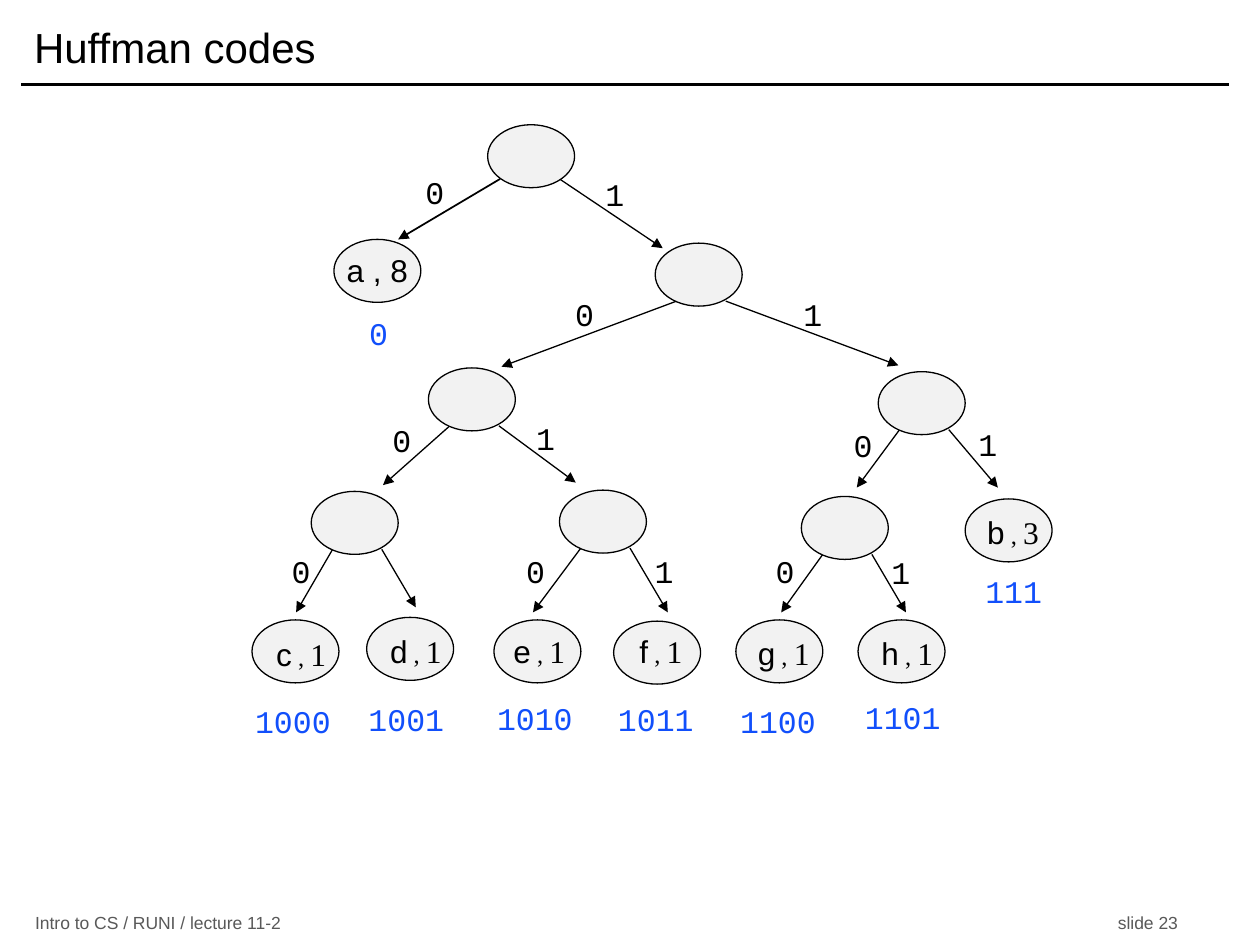
from dataclasses import dataclass
from typing import Optional

import pptx
import pptx.dml.color
import pptx.enum.shapes
import pptx.enum.text
import pptx.util
from lxml import etree
from pptx.oxml.ns import qn
from pptx.util import Inches

COLORS = {"ink": "000000", "node": "F2F2F2", "code": "114FFB", "footer": "595959"}
NODE_WIDTH, NODE_HEIGHT = 0.69, 0.5
BIT_WIDTH, CODE_WIDTH, LABEL_HEIGHT = 0.32, 0.73, 0.41
LEFT, CENTER = pptx.enum.text.PP_ALIGN.LEFT, pptx.enum.text.PP_ALIGN.CENTER

Point = tuple[float, float]
Box = tuple[float, float, float, float]


@dataclass
class Run:
    text: str
    size: float = 18
    font: str = "Arial"
    color: str = "ink"


@dataclass
class Branch:
    """An inner node, with its arrow tips and the places of its bit labels."""
    node: Point
    zero_tip: Point
    one_tip: Point
    zero_label: Point
    one_label: Optional[Point]
    start: Point = (0.17, 0.46)
    spread: float = 0.39
    zero_width: float = 0.75


@dataclass
class Leaf:
    node: Point
    label: Box
    runs: list[Run]
    code: str
    code_at: Point


def count_runs(letter: str, count: int) -> list[Run]:
    return [Run(letter), Run(" , ", 14, "Times New Roman"),
            Run(str(count), 18, "Times New Roman")]


BRANCHES = [
    Branch((3.87, 0.99), (3.16, 1.9), (5.26, 1.97), (3.29, 1.32), (4.72, 1.34),
           start=(0.1, 0.43), spread=0.47, zero_width=1),
    Branch((5.2, 1.93), (3.98, 2.91), (7.13, 2.9), (4.48, 2.29), (6.29, 2.29)),
    Branch((3.4, 2.92), (3.04, 3.85), (4.57, 3.83), (3.03, 3.29), (4.17, 3.28)),
    Branch((6.97, 2.95), (6.8, 3.87), (7.92, 3.87), (6.69, 3.33), (7.68, 3.32)),
    Branch((2.47, 3.9), (2.35, 4.86), (3.3, 4.82), (2.23, 4.33), None),
    Branch((4.44, 3.89), (4.23, 4.86), (5.3, 4.86), (4.09, 4.33), (5.11, 4.33)),
    Branch((6.36, 3.94), (6.2, 4.86), (7.19, 4.86), (6.07, 4.33), (6.99, 4.34)),
]
LEAVES = [
    Leaf((2.65, 1.9), (2.65, 1.94, 0.69, 0.4), [Run("a , 8")], "0", (2.64, 2.44)),
    Leaf((7.66, 3.96), (7.73, 4.02, 0.62, 0.4), count_runs("b", 3), "111", (7.68, 4.49)),
    Leaf((2, 4.92), (2.09, 4.99, 0.6, 0.4), count_runs("c", 1), "1000", (1.96, 5.52)),
    Leaf((2.91, 4.9), (2.99, 4.97, 0.62, 0.4), count_runs("d", 1), "1001", (2.86, 5.51)),
    Leaf((3.92, 4.92), (3.97, 4.97, 0.62, 0.4), count_runs("e", 1), "1010", (3.88, 5.5)),
    Leaf((4.87, 4.93), (4.97, 4.97, 0.55, 0.4), count_runs("f", 1), "1011", (4.84, 5.51)),
    Leaf((5.84, 4.92), (5.91, 4.98, 0.62, 0.4), count_runs("g", 1), "1100", (5.81, 5.52)),
    Leaf((6.81, 4.92), (6.89, 4.98, 0.62, 0.4), count_runs("h", 1), "1101", (6.8, 5.49)),
]


def rgb(name: str) -> pptx.dml.color.RGBColor:
    return pptx.dml.color.RGBColor.from_string(COLORS[name])


def apply(target, values: dict) -> None:
    for name, value in values.items():
        setattr(target, name, value)


def write_runs(paragraph, runs: list[Run], alignment) -> None:
    paragraph.alignment = alignment
    for item in runs:
        run = paragraph.add_run()
        run.text = item.text
        apply(run.font, {"size": pptx.util.Pt(item.size), "name": item.font})
        run.font.color.rgb = rgb(item.color)


def add_label(slide, box: Box, runs: list[Run], inset: float = 0, wrap: bool = True):
    shape = slide.shapes.add_textbox(*map(Inches, box))
    apply(shape.text_frame, {
        "word_wrap": wrap, "margin_left": Inches(inset), "margin_right": Inches(inset),
        "auto_size": pptx.enum.text.MSO_AUTO_SIZE.SHAPE_TO_FIT_TEXT})
    write_runs(shape.text_frame.paragraphs[0], runs, CENTER)


def add_code(slide, at: Point, width: float, text: str, color: str) -> None:
    add_label(slide, (*at, width, LABEL_HEIGHT), [Run(text, 18, "Courier New", color)])


def add_node(slide, at: Point) -> None:
    shape = slide.shapes.add_shape(pptx.enum.shapes.MSO_SHAPE.OVAL,
                                   *map(Inches, (*at, NODE_WIDTH, NODE_HEIGHT)))
    shape.shadow.inherit = False
    shape.fill.solid()
    shape.fill.fore_color.rgb = rgb("node")
    shape.line.color.rgb = rgb("ink")
    shape.line.width = pptx.util.Pt(0.75)


def add_line(slide, start: Point, end: Point, width: float = 0.75, arrow: bool = True) -> None:
    connector = slide.shapes.add_connector(pptx.enum.shapes.MSO_CONNECTOR.STRAIGHT,
                                           *map(Inches, (*start, *end)))
    connector.line.color.rgb = rgb("ink")
    connector.line.width = pptx.util.Pt(width)
    properties = connector._element.spPr
    if arrow:
        etree.SubElement(properties.find(qn("a:ln")), qn("a:tailEnd"), type="triangle")
    etree.SubElement(properties, qn("a:effectLst"))


def add_title(slide) -> None:
    title = slide.shapes.title
    apply(title, dict(zip(("left", "top", "width", "height"),
                          map(Inches, (0.17, 0.08, 9.58, 0.58)))))
    apply(title.text_frame, {"vertical_anchor": pptx.enum.text.MSO_ANCHOR.MIDDLE,
                             "auto_size": pptx.enum.text.MSO_AUTO_SIZE.NONE})
    write_runs(title.text_frame.paragraphs[0], [Run("Huffman codes", 24)], LEFT)
    add_line(slide, (0.17, 0.67), (9.75, 0.67), width=2, arrow=False)


def add_footer(slide) -> None:
    footer = slide.shapes.add_textbox(*map(Inches, (0.18, 7.23, 9.42, 0.19)))
    apply(footer.text_frame, {"word_wrap": True,
                              "vertical_anchor": pptx.enum.text.MSO_ANCHOR.MIDDLE})
    paragraph = footer.text_frame.paragraphs[0]
    tabs = etree.SubElement(paragraph._p.get_or_add_pPr(), qn("a:tabLst"))
    etree.SubElement(tabs, qn("a:tab"), pos=str(Inches(9.07)), algn="r")
    write_runs(paragraph, [Run("Intro to CS / RUNI / lecture 11-2\tslide 23",
                               10, color="footer")], LEFT)


def add_branch(slide, branch: Branch) -> None:
    x, y = (place + offset for place, offset in zip(branch.node, branch.start))
    add_line(slide, (x, y), branch.zero_tip, branch.zero_width)
    add_line(slide, (x + branch.spread, y), branch.one_tip)
    add_node(slide, branch.node)
    for bit, place in (("0", branch.zero_label), ("1", branch.one_label)):
        if place:
            add_code(slide, place, BIT_WIDTH, bit, "ink")


def add_leaf(slide, leaf: Leaf) -> None:
    add_node(slide, leaf.node)
    add_label(slide, leaf.label, leaf.runs, inset=0.1, wrap=False)
    add_code(slide, leaf.code_at, CODE_WIDTH, leaf.code, "code")


def main() -> None:
    presentation = pptx.Presentation()
    apply(presentation, {"slide_width": Inches(10), "slide_height": Inches(7.5)})
    slide = presentation.slides.add_slide(presentation.slide_layouts[5])
    # Frame of the slide
    add_title(slide)
    add_footer(slide)
    # Code tree
    for branch in BRANCHES:
        add_branch(slide, branch)
    for leaf in LEAVES:
        add_leaf(slide, leaf)
    presentation.save("out.pptx")


if __name__ == "__main__":
    main()
